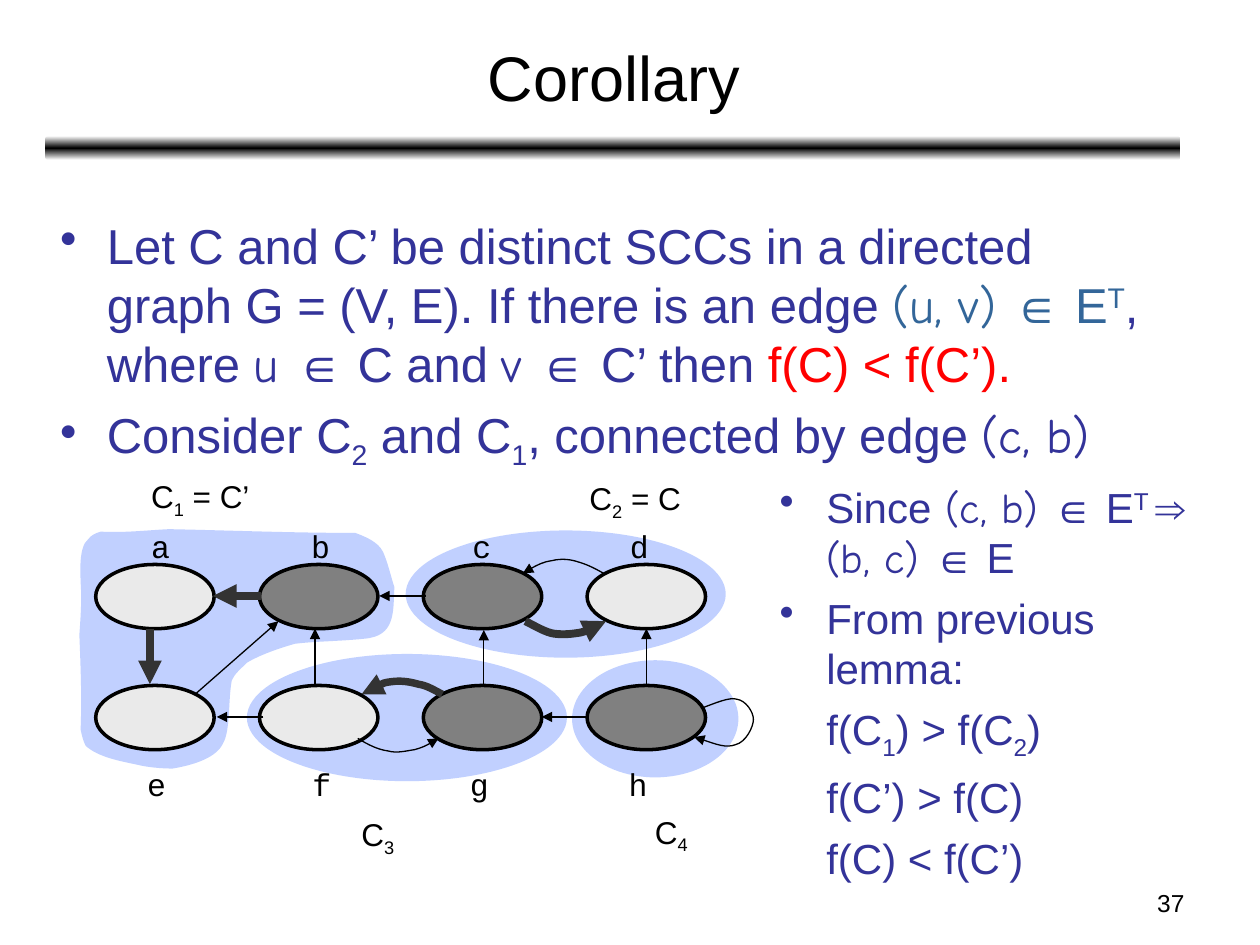
"""Build the Corollary slide on strongly connected components."""
from copy import deepcopy

from lxml.etree import SubElement
from pptx import Presentation
from pptx.dml.color import RGBColor as RGB
from pptx.enum.shapes import MSO_CONNECTOR as CONNECTOR, MSO_SHAPE as SHAPE
from pptx.enum.text import MSO_ANCHOR as ANCHOR, MSO_AUTO_SIZE as AUTO_SIZE, PP_ALIGN as ALIGN
from pptx.oxml.ns import qn
from pptx.util import Pt

PX = 9144
COLORS = {
    "black": "000000", "white": "FFFFFF", "navy": "333399", "steel": "336699",
    "red": "FF0000", "component": "3366FF", "light": "EAEAEA", "dark": "808080",
    "tree": "333333",
}
RGBS = {name: RGB.from_string(value) for name, value in COLORS.items()}
BASELINES = {"sub": "-25000", "sup": "30000"}

prs = Presentation()
prs.slide_width, prs.slide_height = 1000 * PX, 750 * PX
slide = prs.slides.add_slide(prs.slide_layouts[6])
shapes = slide.shapes


def add_text(place, paragraphs, size, color="black", font="Arial", wrap=True):
    frame = shapes.add_textbox(*[value * PX for value in place]).text_frame
    frame.word_wrap = wrap
    frame.auto_size = AUTO_SIZE.NONE if wrap else AUTO_SIZE.SHAPE_TO_FIT_TEXT
    for number, runs in enumerate(paragraphs):
        paragraph = frame.paragraphs[0] if number == 0 else frame.add_paragraph()
        for text, *flags in runs:
            run = paragraph.add_run()
            run.text = text
            run.font.size = Pt(size)
            run.font.name = "Comic Neue" if "comic" in flags else font
            run.font.color.rgb = RGBS[color]
            for flag in flags:
                if flag in BASELINES:
                    run.font._element.set("baseline", BASELINES[flag])
                elif flag in RGBS:
                    run.font.color.rgb = RGBS[flag]
    return frame


def style_edge(edge, color, width):
    edge.line.color.rgb = RGBS[color]
    edge.line.width = Pt(width)
    SubElement(edge.line._get_or_add_ln(), qn("a:tailEnd"), type="triangle")


rule = shapes.add_shape(SHAPE.ROUNDED_RECTANGLE, 36 * PX, 108 * PX, 901 * PX, 19 * PX)
rule.shadow.inherit = False
rule.line.fill.background()
rule.fill.gradient()
rule.fill.gradient_angle = 270
stop_list = next(rule.element.iter(qn("a:gsLst")))
stop_list.insert(1, deepcopy(stop_list[0]))
for stop, position, color in zip(rule.fill.gradient_stops, (0, 0.5, 1), ("white", "black", "white")):
    stop.position = position
    stop.color.rgb = RGBS[color]

title = add_text((37, 11, 900, 99), [[("Corollary",)]], 36)
title.vertical_anchor = ANCHOR.MIDDLE
title.paragraphs[0].alignment = ALIGN.CENTER

statement = add_text((38, 166, 900, 249), [
    [("Let C and C’ be distinct SCCs in a directed graph G = (V, E). If there is an edge ",),
     ("(u, v) ", "comic", "steel"), ("∈ E", "steel"), ("T", "sup", "steel"), (", where ",),
     ("u ", "comic"), ("∈ C and ",), ("v ", "comic"), ("∈ C’ then ",), ("f(C) < f(C’).", "red")],
    [("Consider C",), ("2", "sub"), (" and C",), ("1", "sub"), (", connected by edge ",),
     ("(c, b)", "comic")],
], 28, "navy")

proof = add_text((609, 377, 363, 318), [
    [("Since",), (" (c, b) ", "comic"), ("∈ E",), ("T ", "sup"), ("⇒ ",),
     ("(b, c) ", "comic"), ("∈ E",)],
    [("From previous lemma:",)],
    [("f(C",), ("1", "sub"), (") > f(C",), ("2", "sub"), (")",)],
    [("f(C’) > f(C)",)],
    [("f(C) < f(C’)",)],
], 24, "navy")

for frame, gap in ((statement, 7), (proof, 6)):
    for number, paragraph in enumerate(frame.paragraphs):
        properties = paragraph._p.get_or_add_pPr()
        properties.set("marL", str(37 * PX))
        if number < 2:
            properties.set("indent", str(-37 * PX))
            bullet_color = SubElement(properties, qn("a:buClr"))
            SubElement(bullet_color, qn("a:srgbClr"), val=COLORS["navy"])
            SubElement(properties, qn("a:buChar"), char="•")
        if number:
            paragraph.space_before = Pt(gap)

component_1 = [
    (80, 422), (98, 423), (115, 421), (134, 420), (183, 421), (232, 423), (282, 423),
    (290, 426), (300, 430), (304, 438), (308, 447), (310, 457), (313, 466),
    (312, 486), (314, 505), (289, 507), (270, 509), (250, 509), (234, 511),
    (220, 515), (206, 520), (196, 526), (191, 531), (186, 535), (184, 540),
    (181, 555), (183, 580), (177, 590), (172, 601), (155, 607), (137, 610),
    (128, 610), (117, 609), (109, 607), (95, 604), (78, 601), (68, 592),
    (66, 588), (65, 584), (64, 579), (65, 554), (64, 529), (63, 504),
    (64, 489), (65, 477), (64, 462), (64, 457), (62, 434), (70, 428),
    (72, 425), (76, 423), (80, 422),
]
edge_g_f = [(351, 551), (345, 548), (339, 544), (332, 543), (325, 541), (318, 540),
            (311, 541), (303, 542), (295, 547), (287, 551)]
edge_d_c = [(479, 455), (472, 451), (466, 448), (459, 446), (453, 444), (446, 443),
            (438, 445), (431, 446), (423, 450), (415, 455)]
edge_c_d = [(417, 493), (425, 497), (433, 502), (440, 503), (448, 504), (455, 503),
            (461, 502), (468, 500), (474, 497), (481, 493)]
edge_f_g = [(284, 586), (292, 591), (300, 595), (308, 596), (315, 598), (322, 596),
            (329, 595), (336, 593), (342, 590), (348, 586)]
edge_h_h = [(557, 562), (568, 558), (579, 553), (585, 555), (592, 556), (598, 565),
            (598, 571), (598, 577), (592, 589), (584, 591), (576, 594), (564, 589), (551, 585)]

curves = []
for points in (component_1, edge_g_f, edge_d_c, edge_c_d, edge_f_g, edge_h_h):
    builder = shapes.build_freeform(*points[0], scale=PX)
    builder.add_line_segments(points[1:], close=points is component_1)
    curve = builder.convert_to_shape()
    curve.shadow.inherit = False
    segments = list(curve.element.iter(qn("a:lnTo")))
    for first, second, third in zip(segments[::3], segments[1::3], segments[2::3]):
        first.tag = qn("a:cubicBezTo")
        for control in (second, third):
            first.append(control[0])
            control.getparent().remove(control)
    curves.append(curve)

components = [curves[0]]
for x, y, width, height in ((454, 524, 132, 93), (322, 421, 254, 101), (196, 519, 254, 101)):
    components.append(shapes.add_shape(SHAPE.OVAL, x * PX, y * PX, width * PX, height * PX))
for component in components:
    component.shadow.inherit = False
    component.line.fill.background()
    component.fill.solid()
    component.fill.fore_color.rgb = RGBS["component"]
    tint = next(component.element.spPr.iter(qn("a:srgbClr")))
    SubElement(tint, qn("a:alpha"), val="30000")

for x, y, width, index, suffix in (
    (110, 374, 98, "1", " = C’"), (458, 375, 94, "2", " = C"),
    (277, 642, 46, "3", ""), (510, 640, 46, "4", ""),
):
    runs = [("C",), (index, "sub")] + ([(suffix,)] if suffix else [])
    add_text((x, y, width, 44), [runs], 18, wrap=False)

for y, label_y, row in (
    (448, 413, (("a", 110, "light"), ("b", 237, "dark"), ("c", 365, "dark"), ("d", 490, "light"))),
    (544, 602, (("e", 107, "light"), ("f", 238, "light"), ("g", 363, "dark"), ("h", 489, "dark"))),
):
    for column, (vertex, label_x, color) in enumerate(row):
        node = shapes.add_shape(SHAPE.OVAL, (76 + 130 * column) * PX, y * PX, 94 * PX, 51 * PX)
        node.shadow.inherit = False
        node.fill.solid()
        node.fill.fore_color.rgb = RGBS[color]
        node.line.color.rgb = RGBS["black"]
        node.line.width = Pt(2)
        add_text((label_x, label_y, 35, 40), [[(vertex,)]], 18, font="Courier New", wrap=False)

for start_x, start_y, end_x, end_y, color, width in (
    (207, 473, 169, 473, "tree", 4.5), (338, 473, 301, 473, "black", 0.75),
    (209, 569, 172, 569, "black", 0.75), (467, 569, 430, 569, "black", 0.75),
    (119, 499, 119, 543, "tree", 4.5), (250, 543, 250, 499, "black", 0.75),
    (384, 544, 384, 500, "black", 0.75), (513, 543, 513, 499, "black", 0.75),
    (156, 550, 221, 493, "black", 0.75),
):
    edge = shapes.add_connector(CONNECTOR.STRAIGHT, start_x * PX, start_y * PX, end_x * PX, end_y * PX)
    style_edge(edge, color, width)
    SubElement(edge.element.spPr, qn("a:effectLst"))

for edge, color, width in zip(curves[1:], ("tree", "black", "tree", "black", "black"),
                              (4.25, 0.75, 4.5, 0.75, 0.75)):
    edge.fill.background()
    style_edge(edge, color, width)
    shapes._spTree.append(edge.element)

page_number = add_text((717, 700, 233, 35), [[("37",)]], 14)
page_number.paragraphs[0].alignment = ALIGN.RIGHT

prs.save("out.pptx")
